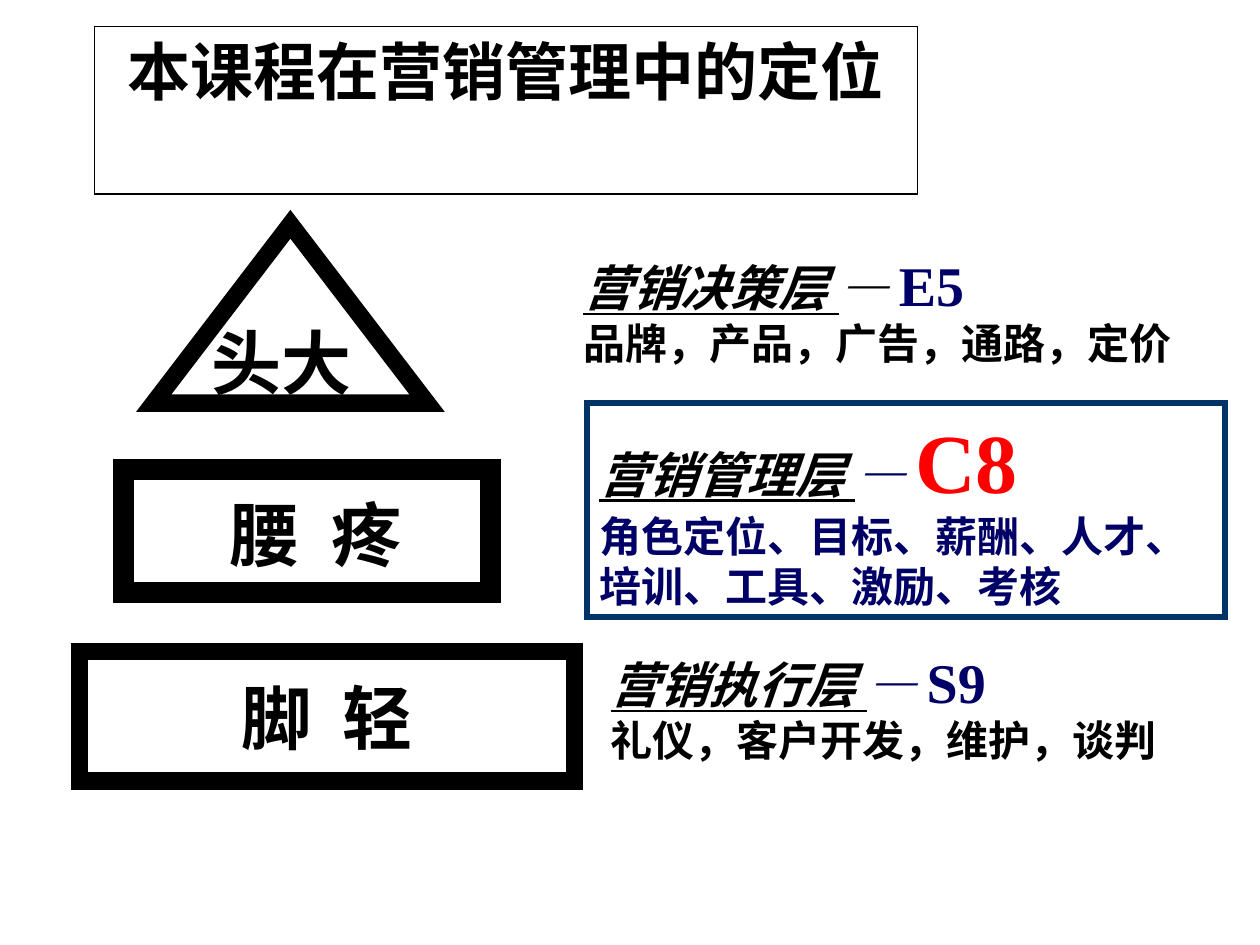
from lxml import etree
from pptx import Presentation
from pptx.dml.color import RGBColor
from pptx.enum.shapes import MSO_SHAPE
from pptx.enum.text import MSO_ANCHOR, MSO_AUTO_SIZE, PP_ALIGN
from pptx.oxml.ns import qn
from pptx.util import Inches, Pt

RECTANGLE = MSO_SHAPE.RECTANGLE
TRIANGLE = MSO_SHAPE.ISOSCELES_TRIANGLE
TOP, MIDDLE = MSO_ANCHOR.TOP, MSO_ANCHOR.MIDDLE
GROW = MSO_AUTO_SIZE.SHAPE_TO_FIT_TEXT
LEFT, CENTER = PP_ALIGN.LEFT, PP_ALIGN.CENTER
LATIN, CHINESE = "Times New Roman", "Noto Sans CJK SC"
BLACK, WHITE, NAVY, BLUE, RED = "000000", "FFFFFF", "000066", "003366", "FF0000"


def color(value):
    """Turn a hex string into a colour."""
    return RGBColor.from_string(value)


def add_frame(slide, box, kind, line, weight, fill=None, anchor=TOP, wrap=True):
    """Draw a sharp-cornered outlined shape and return its text frame."""
    frame = slide.shapes.add_shape(kind, *map(Inches, box))
    frame.shadow.inherit = False
    if fill:
        frame.fill.solid()
        frame.fill.fore_color.rgb = color(fill)
    else:
        frame.fill.background()
    frame.line.color.rgb = color(line)
    frame.line.width = Pt(weight)
    outline = frame._element.spPr.find(qn("a:ln"))
    etree.SubElement(outline, qn("a:miter"), lim="800000")
    frame.text_frame.vertical_anchor = anchor
    frame.text_frame.word_wrap = wrap
    return frame.text_frame


def style(font, size=None, ink=None, name=None):
    """Set size and colour, and with a name also a bold typeface."""
    if name:
        font.bold = True
    if size:
        font.size = Pt(size)
    if ink:
        font.color.rgb = color(ink)
    if name:
        font.name = name
        etree.SubElement(font._element, qn("a:ea"), typeface=CHINESE)


def add_title(slide, box, title):
    """Place the boxed slide title."""
    heading = add_frame(slide, box, RECTANGLE, BLACK, 0.75, WHITE).paragraphs[0]
    heading.text = title
    heading.alignment = CENTER
    style(heading.font, 36, BLACK, CHINESE)


def add_body_part(slide, box, kind, weight, pieces):
    """Place one thick-edged part of the figure with its label."""
    label = add_frame(slide, box, kind, BLACK, weight, anchor=MIDDLE, wrap=False).paragraphs[0]
    label.alignment = CENTER
    style(label.font, None, BLACK, LATIN)
    for words, size in pieces:
        run = label.add_run()
        run.text = words
        run.font.size = Pt(size)


def add_layer(slide, box, layer, code, topics, code_size=32, code_ink=NAVY,
              topic_ink=BLACK, dash_ink=NAVY, framed=False):
    """Place a marketing layer: its name, course code and topics."""
    if framed:
        frame = add_frame(slide, box, RECTANGLE, BLUE, 3.5)
    else:
        frame = slide.shapes.add_textbox(*map(Inches, box)).text_frame
        frame.word_wrap = False
    frame.auto_size = GROW
    heading = frame.paragraphs[0]
    heading.alignment = LEFT
    style(heading.font, name=LATIN)
    for words, size, ink, italic, underline in (
        (layer + " ", 28, BLACK, True, True),
        ("— ", 28, dash_ink, True, False),
        (code, code_size, code_ink, False, False),
    ):
        run = heading.add_run()
        run.text = words
        run.font.italic = italic
        run.font.underline = underline
        style(run.font, size, ink)
    for topic in topics:
        line = frame.add_paragraph()
        line.text = topic
        line.alignment = LEFT
        style(line.font, 24, topic_ink, LATIN)


def main():
    """Build the slide and save it."""
    deck = Presentation()
    deck.slide_width, deck.slide_height = Inches(10), Inches(7.5)
    slide = deck.slides.add_slide(deck.slide_layouts[6])

    add_body_part(slide, (0.63, 5.17, 3.93, 1.03), RECTANGLE, 10, [("脚  轻", 40)])
    add_body_part(slide, (0.98, 3.73, 2.91, 0.97), RECTANGLE, 12, [(" ", 44), ("腰  疼", 40)])
    add_body_part(slide, (1.22, 1.78, 2.17, 1.42), TRIANGLE, 10, [("头大", 40), (" ", 44)])

    add_layer(slide, (4.53, 1.94, 4.9, 1.04), "营销决策层", "E5",
              ["品牌，产品，广告，通路，定价"], dash_ink=BLACK)
    add_layer(slide, (4.66, 3.2, 5.06, 1.7), "营销管理层", "C8",
              ["角色定位、目标、薪酬、人才、", "培训、工具、激励、考核"],
              code_size=48, code_ink=RED, topic_ink=NAVY, framed=True)
    add_layer(slide, (4.75, 5.09, 4.53, 1.04), "营销执行层", "S9",
              ["礼仪，客户开发，维护，谈判"])

    add_title(slide, (0.75, 0.21, 6.53, 1.33), "本课程在营销管理中的定位")
    deck.save("out.pptx")


if __name__ == "__main__":
    main()
